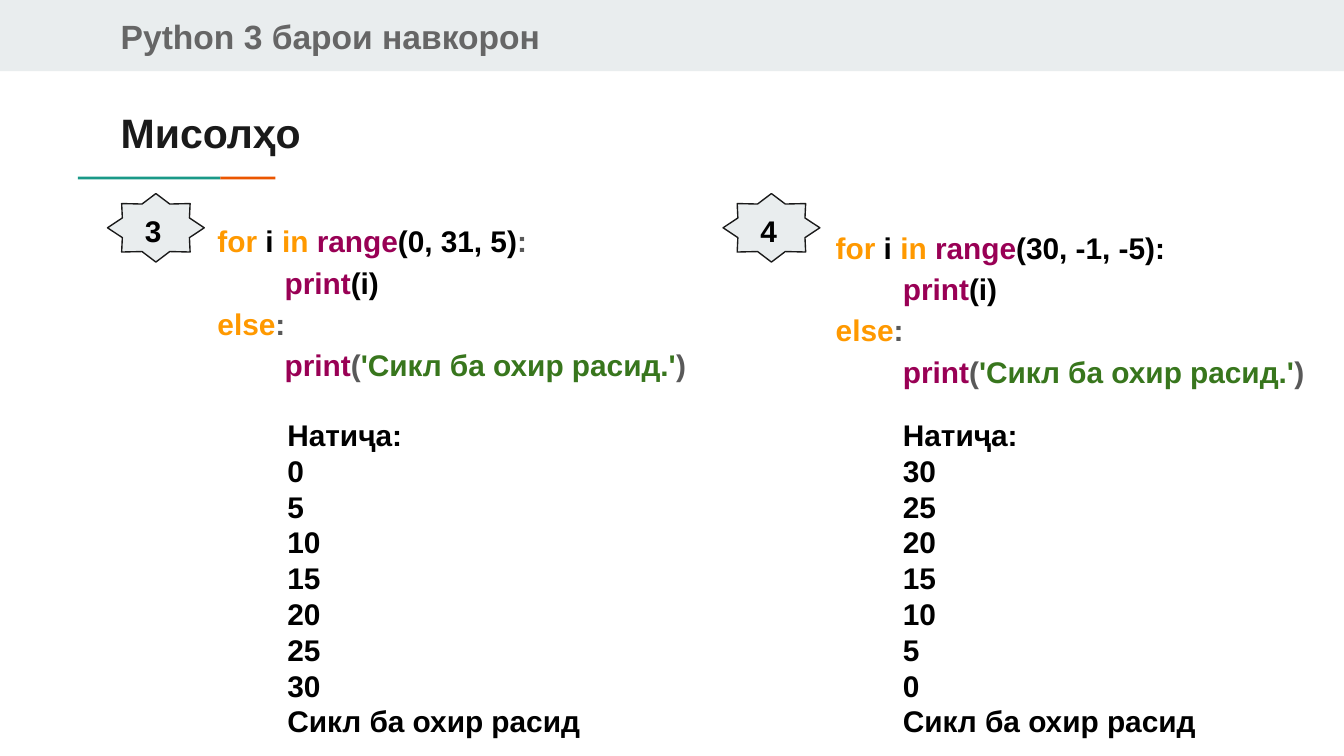
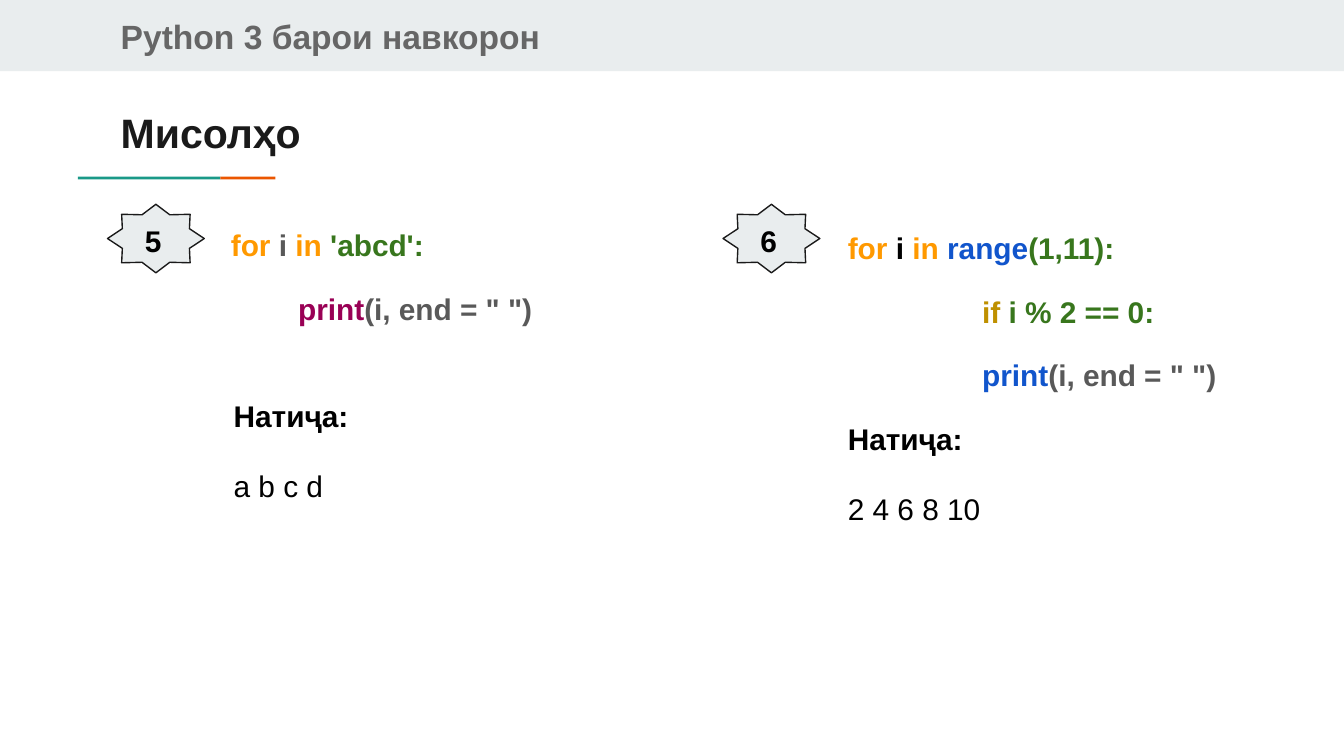
"""Build two slides of Python loop examples with their results."""
from pptx import Presentation
from pptx.dml.color import RGBColor as RGB
from pptx.enum.shapes import MSO_SHAPE as SHAPE
from pptx.enum.text import MSO_ANCHOR as ANCHOR
from pptx.util import Inches, Pt

prs = Presentation()
prs.slide_width, prs.slide_height = Inches(10), Inches(5.625)
CELL = prs.slide_width / 100

BAND, TEAL, ORANGE, INK = "E9EDEE", "1A9988", "EB5600", "1A1A1A"
BLACK, GREY, HEADER = "000000", "595959", "666666"
KEYWORD, CALL, STRING, BLUE, GOLD = "FF9900", "990055", "38761D", "1155CC", "BF9000"


def add_block(s, kind, x, y, w, h, fill, line=None):
    sp = s.shapes.add_shape(kind, *[int(v * CELL) for v in (x, y, w, h)])
    sp.shadow.inherit = False
    sp.fill.solid()
    sp.fill.fore_color.rgb = RGB.from_string(fill)
    if line:
        sp.line.color.rgb = RGB.from_string(line)
        sp.line.width = Pt(0.75)
    else:
        sp.line.fill.background()


def add_text(s, x, y, w, h, lines, size=16, spacing=1, anchor=ANCHOR.TOP):
    sp = s.shapes.add_textbox(*[int(v * CELL) for v in (x, y, w, h)])
    tf = sp.text_frame
    tf.word_wrap = True
    tf.vertical_anchor = anchor
    tf.margin_left = tf.margin_right = tf.margin_top = tf.margin_bottom = int(CELL)
    for n, (runs, indent, before, bold) in enumerate(lines):
        p = tf.add_paragraph() if n else tf.paragraphs[0]
        p.line_spacing, p.space_before = spacing, Pt(before)
        p.font.name, p.font.size, p.font.bold = "Arial", Pt(size), bold
        if indent:
            p._p.get_or_add_pPr().set("indent", str(int(indent * CELL)))
        for text, color in runs:
            r = p.add_run()
            r.text = text
            r.font.color.rgb = RGB.from_string(color)


done = "Сикл ба охир расид"
loop = [("for ", KEYWORD), ("i ", BLACK), ("in ", KEYWORD)]
print_end = '(i, end = " ")'
loop_tail = [
    ([("print", CALL), ("(i)", BLACK)], 5, 0, True),
    ([("else", KEYWORD), (":", GREY)], 0, 0, True),
    ([("print", CALL), ("(", GREY), (f"'{done}.'", STRING), (")", GREY)], 5, 0, True),
]
up = [(loop + [("range", CALL), ("(0, 31, 5)", BLACK), (":", GREY)], 0, 0, True)] + loop_tail
down = [(loop + [("range", CALL), ("(30, -1, -5):", BLACK)], 0, 0, True)] + loop_tail
letters = [
    ([("for", KEYWORD), (" i ", GREY), ("in ", KEYWORD), ("'abcd':", STRING)], 0, 0, True),
    ([("print", CALL), (print_end, GREY)], 5, 12, True),
]
evens = [
    (loop + [("range", BLUE), ("(1,11):", STRING)], 0, 0, True),
    ([("if", GOLD), (" i % 2 == 0:", STRING)], 10, 12, True),
    ([("print", BLUE), (print_end, GREY)], 10, 12, True),
]

result = ([("Натиҷа:", BLACK)], 0, 0, True)
counts = [([(str(n), BLACK)], 0, 0, True) for n in range(0, 31, 5)]
end = ([(done, BLACK)], 0, 0, True)
up_out = [result, *counts, end]
down_out = [result, *reversed(counts), end]
letters_out = [result, ([("a b c d", BLACK)], 0, 18.4, False)]
evens_out = [result, ([("2 4 6 8 10", BLACK)], 0, 18.4, False)]

slides = [
    (14.4, [
        ("3", up, (15.2, 15.2, 38.6, 18.8), up_out, (20.4, 30, 31.3, 26.3)),
        ("4", down, (61.2, 15.7, 38, 14), down_out, (66.2, 30, 31.3, 26.3)),
    ]),
    (15.2, [
        ("5", letters, (16.2, 15.5, 34.3, 18.7), letters_out, (16.4, 28.6, 20.1, 10.1)),
        ("6", evens, (62.1, 15.7, 36.1, 14.3), evens_out, (62.1, 30.3, 14.8, 10.1)),
    ]),
]

for badge_top, examples in slides:
    s = prs.slides.add_slide(prs.slide_layouts[6])
    add_block(s, SHAPE.RECTANGLE, 0, 0, 100, 5.3, BAND)
    add_block(s, SHAPE.RECTANGLE, 5.8, 13.15, 10.6, 0.2, TEAL)
    add_block(s, SHAPE.RECTANGLE, 16.4, 13.15, 4.1, 0.2, ORANGE)
    add_text(s, 8, -0.3, 60.8, 5.9, [([("Python 3 барои навкорон", HEADER)], 0, 0, True)],
             size=18, anchor=ANCHOR.MIDDLE)
    add_text(s, 8, 7, 84.1, 5.9, [([("Мисолҳо", INK)], 0, 0, True)], size=22)
    for col, (number, code, code_box, output, output_box) in enumerate(examples):
        left = 8 + 45.8 * col
        add_block(s, SHAPE.STAR_8_POINT, left, badge_top, 7.2, 5.1, BAND, INK)
        add_text(s, left + 1.8, badge_top + 0.4, 4.5, 4.7, [([(number, BLACK)], 0, 0, True)])
        add_text(s, *code_box, code, spacing=1.15)
        add_text(s, *output_box, output)

prs.save("out.pptx")
